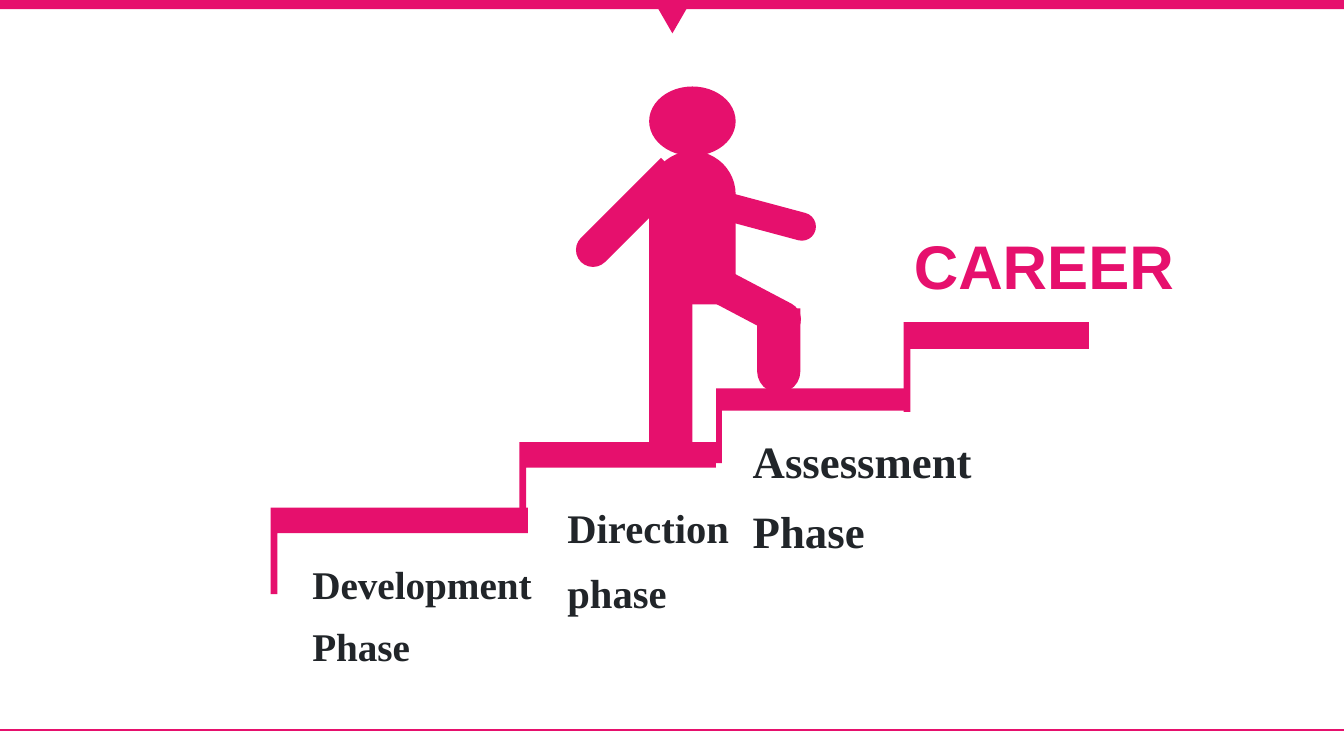
from dataclasses import dataclass
from typing import Any

from lxml import etree
from pptx import Presentation
from pptx.dml.color import RGBColor
from pptx.enum.shapes import MSO_CONNECTOR, MSO_SHAPE
from pptx.enum.text import MSO_AUTO_SIZE, PP_ALIGN
from pptx.oxml.ns import qn
from pptx.util import Cm, Pt

RECT = MSO_SHAPE.RECTANGLE
TRIANGLE = MSO_SHAPE.ISOSCELES_TRIANGLE
OVAL = MSO_SHAPE.OVAL
LIMB = MSO_SHAPE.ROUND_2_SAME_RECTANGLE
STRAIGHT = MSO_CONNECTOR.STRAIGHT
FIT_SHAPE = MSO_AUTO_SIZE.SHAPE_TO_FIT_TEXT
JUSTIFY = PP_ALIGN.JUSTIFY
LEFT = PP_ALIGN.LEFT

PINK = "E6106D"
DARK = "212529"
SLIDE_W, SLIDE_H = 33.87, 19.05
FOOTER_Y = 18.39
ROUND_END = (0.5, 0)
STEP_GUIDES = {"adj1": 7700, "adj2": 29700}


@dataclass
class Part:
    kind: Any
    x: float
    y: float
    w: float
    h: float
    rotation: float = 0
    adjustments: tuple[float, ...] = ()


@dataclass
class Step:
    x: float
    y: float
    w: float
    h: float


@dataclass
class Label:
    lines: tuple[str, ...]
    x: float
    y: float
    w: float
    h: float
    size: float
    font: str = "Times New Roman"
    color: str = DARK
    align: Any = LEFT
    spacing: float = 1.2
    inset_y: float = 0.25


HEADER = [
    Part(RECT, 0, 0, SLIDE_W, 0.23),
    Part(TRIANGLE, 16.46, 0, 0.97, 0.84, 180),
]

STEPS = [
    Step(6.82, 12.79, 6.48, 2.18),
    Step(13.09, 11.14, 4.95, 2.18),
    Step(18.05, 9.79, 4.75, 1.88),
    Step(22.77, 8.12, 4.67, 2.26),
]

CLIMBER = [
    Part(OVAL, 16.36, 2.18, 2.18, 1.75),
    Part(LIMB, 16.36, 3.81, 2.18, 3.86, 0, ROUND_END),
    Part(LIMB, 16.36, 7.32, 1.09, 4.37, 180, ROUND_END),
    Part(LIMB, 19.08, 7.77, 1.09, 2.13, 180, ROUND_END),
    Part(LIMB, 18.52, 6.32, 0.89, 2.64, 117.8, ROUND_END),
    Part(LIMB, 18.92, 4.14, 0.71, 2.64, 105, ROUND_END),
    Part(LIMB, 15.37, 3.8, 0.86, 3.28, 225, ROUND_END),
]

LABELS = [
    Label(("CAREER",), 22.78, 5.61, 8, 2.13, 44, "Arial", PINK, JUSTIFY, 1, 0.13),
    Label(("Assessment", "Phase"), 18.72, 10.41, 10.87, 3.66, 32),
    Label(("Development", "Phase"), 7.62, 13.64, 6.1, 3.28, 28),
    Label(("Direction", "phase"), 14.05, 12.19, 4.67, 3.38, 29),
]


def rgb(color: str) -> RGBColor:
    return RGBColor.from_string(color)


def add_part(shapes: Any, part: Part) -> Any:
    sp = shapes.add_shape(part.kind, Cm(part.x), Cm(part.y), Cm(part.w), Cm(part.h))
    sp.rotation = part.rotation
    for i, value in enumerate(part.adjustments):
        sp.adjustments[i] = value
    sp.fill.solid()
    sp.fill.fore_color.rgb = rgb(PINK)
    sp.line.fill.background()
    sp.shadow.inherit = False
    return sp


def add_step(shapes: Any, step: Step) -> None:
    x = step.x + (step.w - step.h) / 2
    y = step.y + (step.h - step.w) / 2
    sp = add_part(shapes, Part(RECT, x, y, step.h, step.w, 90))
    geom = sp._element.spPr.find(qn("a:prstGeom"))
    geom.set("prst", "corner")
    guides = geom.find(qn("a:avLst"))
    for name, value in STEP_GUIDES.items():
        etree.SubElement(guides, qn("a:gd"), name=name, fmla=f"val {value}")


def add_label(shapes: Any, label: Label) -> None:
    sp = shapes.add_textbox(Cm(label.x), Cm(label.y), Cm(label.w), Cm(label.h))
    tf = sp.text_frame
    tf.word_wrap = True
    tf.auto_size = FIT_SHAPE
    tf.margin_left = tf.margin_right = Cm(0.25)
    tf.margin_top = tf.margin_bottom = Cm(label.inset_y)
    for i, line in enumerate(label.lines):
        p = tf.add_paragraph() if i else tf.paragraphs[0]
        p.alignment = label.align
        p.line_spacing = label.spacing
        if i:
            p.space_before = p.space_after = Pt(4)
        r = p.add_run()
        r.text = line
        r.font.name = label.font
        r.font.size = Pt(label.size)
        r.font.bold = True
        r.font.color.rgb = rgb(label.color)


def add_footer_line(shapes: Any) -> None:
    line = shapes.add_connector(STRAIGHT, Cm(SLIDE_W), Cm(FOOTER_Y), Cm(0), Cm(FOOTER_Y))
    line.line.color.rgb = rgb(PINK)
    line.line.width = Pt(1.5)
    etree.SubElement(line._element.spPr, qn("a:effectLst"))


def main() -> None:
    prs = Presentation()
    prs.slide_width, prs.slide_height = Cm(SLIDE_W), Cm(SLIDE_H)
    s = prs.slides.add_slide(prs.slide_layouts[6])
    add_footer_line(s.shapes)
    for part in HEADER:
        add_part(s.shapes, part)
    for step in STEPS:
        add_step(s.shapes, step)
    climber = s.shapes.add_group_shape()
    for part in CLIMBER:
        add_part(climber.shapes, part)
    for label in LABELS:
        add_label(s.shapes, label)
    prs.save("out.pptx")


if __name__ == "__main__":
    main()
